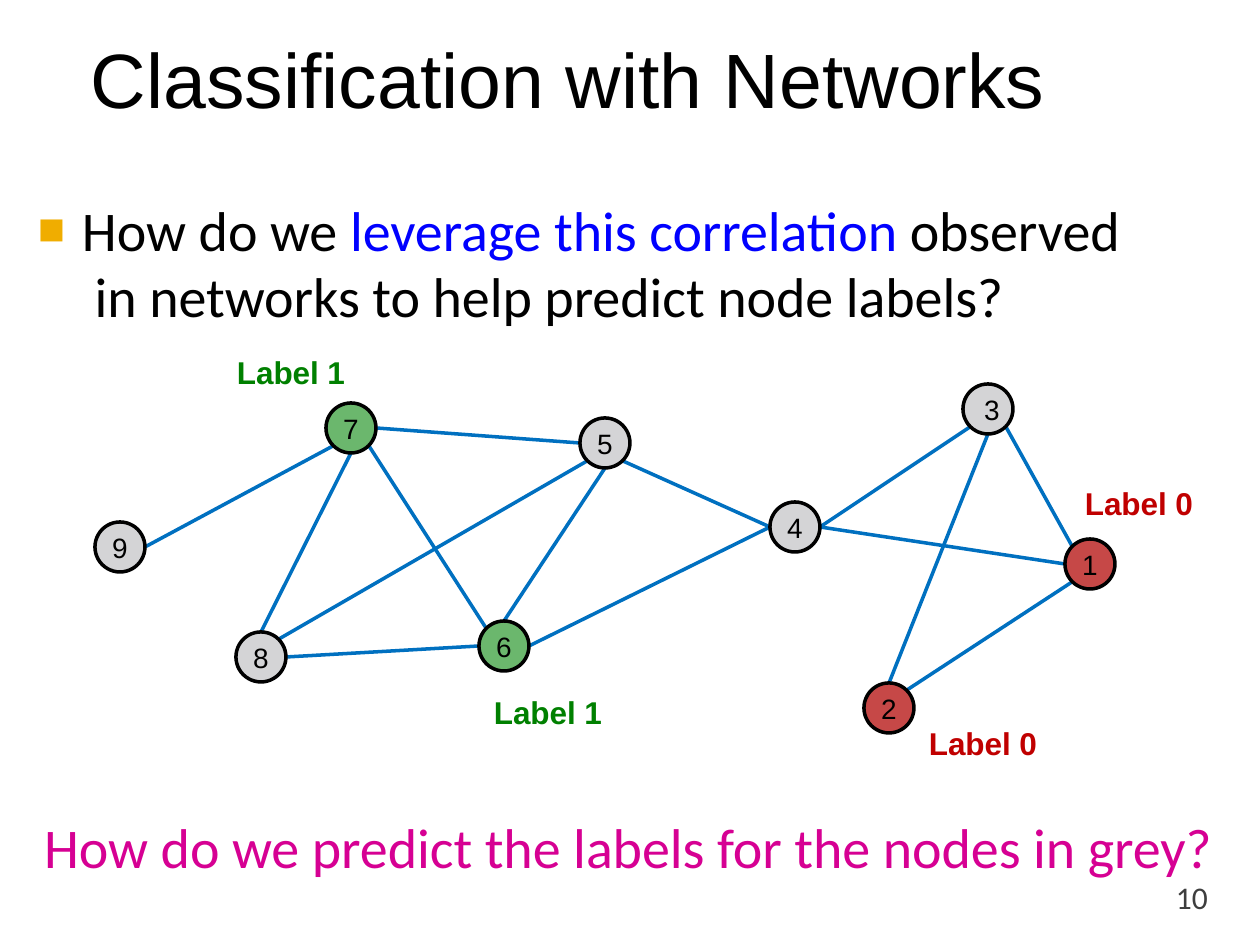
import math
from dataclasses import dataclass

import pptx
import pptx.dml.color
import pptx.enum.shapes
import pptx.enum.text
import pptx.oxml
import pptx.oxml.ns
import pptx.util


@dataclass(frozen=True)
class Theme:
    heading_font: str = "Arial"
    body_font: str = "Calibri"
    title_size: int = 44
    body_size: int = 32
    label_size: int = 18
    node_size: int = 16
    black: str = "000000"
    number: str = "3E3E3E"
    emphasis: str = "0000FF"
    question: str = "D60093"
    bullet: str = "F0AD00"
    edge: str = "0070C0"
    grey: str = "D4D4D6"
    green: str = "6BB76D"
    red: str = "C64847"
    label_one: str = "008000"
    label_zero: str = "C00000"
    line_width: int = 2
    tracking: int = -7


def px(length):
    return pptx.util.Emu(round(length * 914400 / 126))


def rgb(value):
    return pptx.dml.color.RGBColor.from_string(value)


class NetworkSlide:
    radius = 25
    compass = {"E": 0, "SE": 45, "S": 90, "SW": 135, "W": 180, "NW": 225, "N": 270, "NE": 315}

    def __init__(self, slide, theme):
        self.slide = slide
        self.theme = theme

    def run(self, paragraph, words, font, size, colour, bold=False, tracking=0):
        run = paragraph.add_run()
        run.text = words
        run.font.name = font
        run.font.size = pptx.util.Pt(size)
        run.font.bold = bold
        run.font.color.rgb = rgb(colour)
        if tracking:
            run.font._element.set("spc", str(tracking))

    def clear_insets(self, frame):
        frame.margin_left = frame.margin_right = 0
        frame.margin_top = frame.margin_bottom = 0

    def text(self, left, top, width, height, wrap=False):
        frame = self.slide.shapes.add_textbox(px(left), px(top), px(width), px(height)).text_frame
        self.clear_insets(frame)
        frame.word_wrap = wrap
        return frame

    def title(self, words):
        frame = self.text(91, 35, 1061, 97, wrap=True)
        frame.vertical_anchor = pptx.enum.text.MSO_ANCHOR.MIDDLE
        paragraph = frame.paragraphs[0]
        paragraph.line_spacing = 0.9
        self.run(paragraph, words, self.theme.heading_font, self.theme.title_size, self.theme.black)

    def bullet(self, lines):
        theme = self.theme
        paragraph = self.text(37, 196, 1150, 134, wrap=True).paragraphs[0]
        paragraph.line_spacing = pptx.util.Pt(37.9)
        properties = paragraph._p.get_or_add_pPr()
        properties.set("marL", str(px(45)))
        properties.set("indent", str(px(-44)))
        namespace = pptx.oxml.ns.nsdecls("a")
        for markup in (
            f'<a:buClr {namespace}><a:srgbClr val="{theme.bullet}"/></a:buClr>',
            f'<a:buSzPct {namespace} val="81000"/>',
            f'<a:buFont {namespace} typeface="{theme.heading_font}"/>',
            f'<a:buChar {namespace} char="■"/>',
        ):
            properties.append(pptx.oxml.parse_xml(markup))
        for index, line in enumerate(lines):
            if index:
                paragraph.add_line_break()
            for words, colour in line:
                self.run(paragraph, words, theme.body_font, theme.body_size, colour,
                         tracking=theme.tracking)

    def question(self, words):
        theme = self.theme
        paragraph = self.text(44, 812, 1175, 68).paragraphs[0]
        self.run(paragraph, words, theme.body_font, theme.body_size, theme.question,
                 tracking=theme.tracking)

    def page_number(self, words):
        paragraph = self.text(1176, 878, 52, 38).paragraphs[0]
        self.run(paragraph, words, self.theme.body_font, self.theme.label_size, self.theme.number)

    def label(self, words, left, top, colour):
        paragraph = self.text(left, top, 112, 38).paragraphs[0]
        self.run(paragraph, words, self.theme.heading_font, self.theme.label_size, colour,
                 bold=True, tracking=self.theme.tracking)

    def rim(self, centre, direction):
        angle = math.radians(self.compass[direction])
        return (px(round(centre[0] + self.radius * math.cos(angle))),
                px(round(centre[1] + self.radius * math.sin(angle))))

    def edge(self, start, start_side, end, end_side):
        link = self.slide.shapes.add_connector(
            pptx.enum.shapes.MSO_CONNECTOR.STRAIGHT,
            *self.rim(start, start_side), *self.rim(end, end_side))
        link.line.color.rgb = rgb(self.theme.edge)
        link.line.width = pptx.util.Pt(self.theme.line_width)
        link._element.spPr.append(
            pptx.oxml.parse_xml(f'<a:effectLst {pptx.oxml.ns.nsdecls("a")}/>'))

    def node(self, name, centre, colour, shift=0):
        x, y = centre
        circle = self.slide.shapes.add_shape(
            pptx.enum.shapes.MSO_SHAPE.OVAL, px(x - self.radius), px(y - self.radius),
            px(2 * self.radius), px(2 * self.radius))
        circle.shadow.inherit = False
        circle.fill.solid()
        circle.fill.fore_color.rgb = rgb(colour)
        circle.line.color.rgb = rgb(self.theme.black)
        circle.line.width = pptx.util.Pt(self.theme.line_width)
        frame = circle.text_frame
        self.clear_insets(frame)
        frame.margin_left = px(2 * shift)
        frame.word_wrap = False
        frame.vertical_anchor = pptx.enum.text.MSO_ANCHOR.MIDDLE
        paragraph = frame.paragraphs[0]
        paragraph.alignment = pptx.enum.text.PP_ALIGN.CENTER
        self.run(paragraph, name, self.theme.heading_font, self.theme.node_size, self.theme.black)


def main():
    theme = Theme()
    deck = pptx.Presentation()
    deck.slide_width, deck.slide_height = px(1260), px(945)
    page = NetworkSlide(deck.slides.add_slide(deck.slide_layouts[6]), theme)

    page.title("Classification with Networks")
    page.bullet([
        [("How do we ", theme.black), ("leverage this correlation ", theme.emphasis),
         ("observed", theme.black)],
        [(" in networks to help predict node labels?", theme.black)],
    ])

    nodes = {
        1: ((1090, 564), theme.red),
        2: ((889, 708), theme.red),
        3: ((988, 409), theme.grey, 4),
        4: ((795, 527), theme.grey),
        5: ((605, 443), theme.grey),
        6: ((504, 646), theme.green),
        7: ((351, 428), theme.green),
        8: ((261, 657), theme.grey),
        9: ((120, 547), theme.grey),
    }
    edges = [
        (5, "SE", 4, "W"), (9, "E", 7, "SW"), (8, "N", 7, "S"), (8, "E", 6, "W"),
        (7, "E", 5, "W"), (6, "NW", 7, "SE"), (6, "N", 5, "S"), (5, "SW", 8, "NE"),
        (4, "W", 6, "E"), (3, "SW", 4, "E"), (1, "W", 4, "E"), (2, "N", 3, "S"),
        (3, "SE", 1, "NW"), (1, "SW", 2, "NE"),
    ]
    for start, start_side, end, end_side in edges:
        page.edge(nodes[start][0], start_side, nodes[end][0], end_side)
    for name, details in nodes.items():
        page.node(str(name), *details)

    for words, left, top, colour in [
        ("Label 1", 237, 353, theme.label_one),
        ("Label 1", 494, 693, theme.label_one),
        ("Label 0", 1085, 484, theme.label_zero),
        ("Label 0", 929, 724, theme.label_zero),
    ]:
        page.label(words, left, top, colour)

    page.question("How do we predict the labels for the nodes in grey?")
    page.page_number("10")
    deck.save("out.pptx")


if __name__ == "__main__":
    main()
